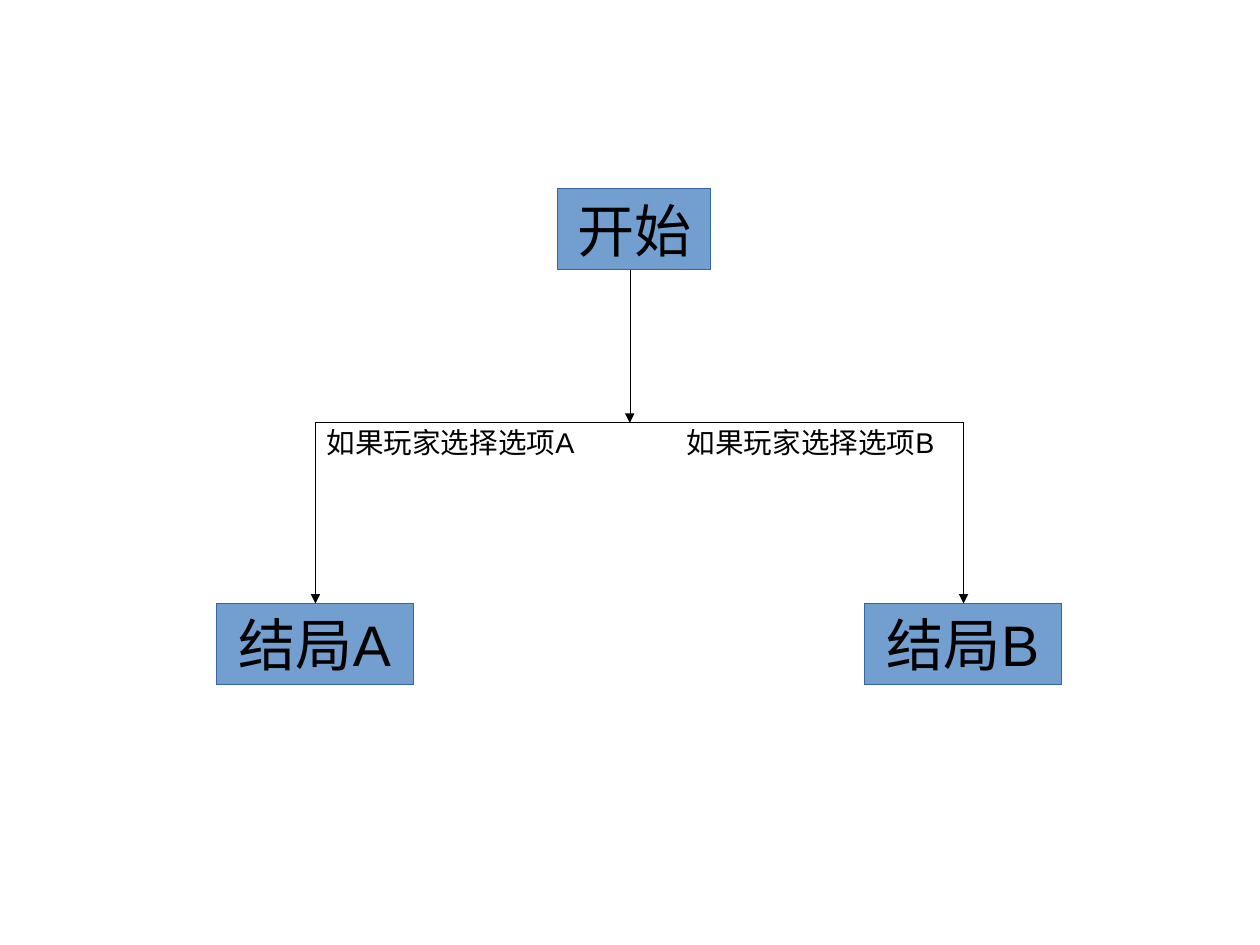
from lxml import etree
from pptx import Presentation
from pptx.dml.color import RGBColor
from pptx.enum.shapes import MSO_CONNECTOR, MSO_SHAPE
from pptx.enum.text import MSO_ANCHOR, MSO_AUTO_SIZE, PP_ALIGN
from pptx.oxml.ns import qn
from pptx.util import Inches, Pt

RECTANGLE = MSO_SHAPE.RECTANGLE
STRAIGHT = MSO_CONNECTOR.STRAIGHT
MIDDLE = MSO_ANCHOR.MIDDLE
CENTER = PP_ALIGN.CENTER
LEFT = PP_ALIGN.LEFT
GROW = MSO_AUTO_SIZE.SHAPE_TO_FIT_TEXT

BLACK = RGBColor(0x00, 0x00, 0x00)
BOX_FILL = RGBColor(0x72, 0x9F, 0xCF)
BOX_LINE = RGBColor(0x34, 0x65, 0xA4)

CM_PER_INCH = 2.54
START_X, LEFT_X, RIGHT_X = 5.51, 2.76, 8.43
START_BOTTOM, BRANCH_Y, ENDING_TOP = 2.36, 3.7, 5.28
BOX_HEIGHT = 0.71


def write_text(shape, text, size, align):
    para = shape.text_frame.paragraphs[0]
    para.text = text
    para.alignment = align
    font = para.runs[0].font
    font.name = "Arial"
    font.size = Pt(size)
    font.color.rgb = BLACK


def draw_hairline(shape, color):
    """Give the outline an explicit zero width, which line.width would omit."""
    shape.line.color.rgb = color
    outline = shape._element.spPr.find(qn("a:ln"))
    outline.set("w", "0")
    return outline


deck = Presentation()
deck.slide_width = Inches(28 / CM_PER_INCH)
deck.slide_height = Inches(21 / CM_PER_INCH)
page = deck.slides.add_slide(deck.slide_layouts[6])

# Start and endings: text, left, top, width
boxes = [
    ("开始", 4.88, START_BOTTOM - BOX_HEIGHT, 1.34),
    ("结局A", 1.89, ENDING_TOP, 1.73),
    ("结局B", 7.56, ENDING_TOP, 1.73),
]
for text, left, top, width in boxes:
    box = page.shapes.add_shape(
        RECTANGLE, Inches(left), Inches(top), Inches(width), Inches(BOX_HEIGHT))
    box.shadow.inherit = False
    box.fill.solid()
    box.fill.fore_color.rgb = BOX_FILL
    draw_hairline(box, BOX_LINE)
    box.text_frame.word_wrap = False
    box.text_frame.vertical_anchor = MIDDLE
    write_text(box, text, 36, CENTER)

# Branch lines: start x, start y, end x, end y, arrowhead
lines = [
    (START_X, START_BOTTOM, START_X, BRANCH_Y, True),
    (LEFT_X, BRANCH_Y, RIGHT_X, BRANCH_Y, False),
    (LEFT_X, BRANCH_Y, LEFT_X, ENDING_TOP, True),
    (RIGHT_X, BRANCH_Y, RIGHT_X, ENDING_TOP, True),
]
for x1, y1, x2, y2, has_arrow in lines:
    line = page.shapes.add_connector(
        STRAIGHT, Inches(x1), Inches(y1), Inches(x2), Inches(y2))
    outline = draw_hairline(line, BLACK)
    if has_arrow:
        etree.SubElement(outline, qn("a:tailEnd"), type="triangle")
    etree.SubElement(line._element.spPr, qn("a:effectLst"))

# Conditions: text, left, width
conditions = [("如果玩家选择选项A", LEFT_X, 2.44), ("如果玩家选择选项B", 5.91, 2.52)]
for text, left, width in conditions:
    label = page.shapes.add_textbox(
        Inches(left), Inches(3.67), Inches(width), Inches(0.76))
    label.text_frame.word_wrap = True
    label.text_frame.auto_size = GROW
    write_text(label, text, 18, LEFT)

deck.save("out.pptx")
